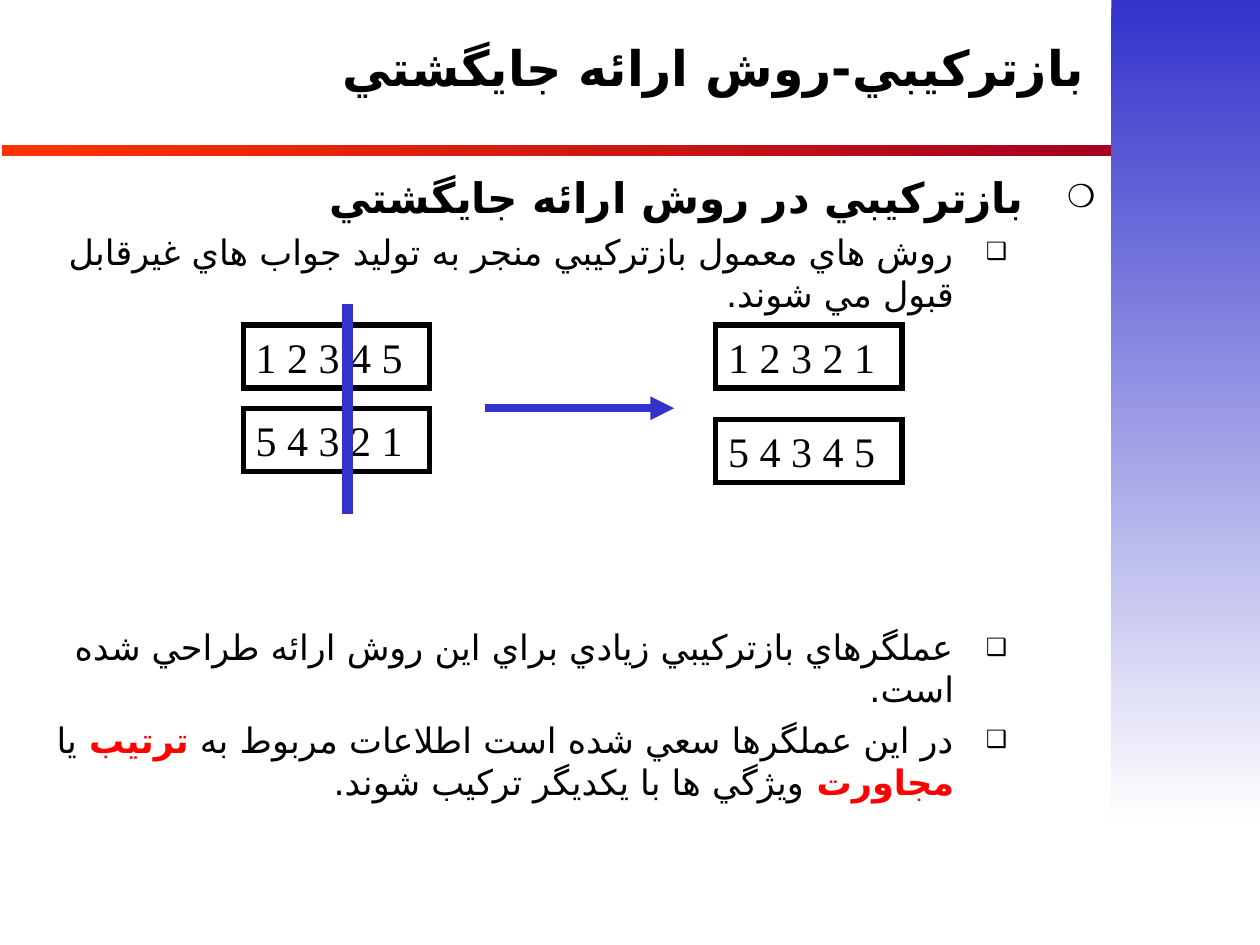
from lxml import etree
from pptx import Presentation, util as u
from pptx.dml.color import RGBColor
from pptx.enum import shapes, text
from pptx.oxml.ns import qn

# Content
TITLE = "بازتركيبي-روش ارائه جايگشتي"
# (level, space before in points, runs of (text, is_key_word))
BODY = [
    (0, 6, [("بازتركيبي در روش ارائه جايگشتي", False)]),
    (1, 5, [("روش هاي معمول بازتركيبي منجر به توليد جواب هاي غيرقابل قبول مي شوند.", False)]),
    (1, 178, [("عملگرهاي بازتركيبي زيادي براي اين روش ارائه طراحي شده است.", False)]),
    (1, 5, [("در اين عملگرها سعي شده است اطلاعات مربوط به ", False), ("ترتيب ", True),
            ("يا ", False), ("مجاورت ", True), ("ويژگي ها با يكديگر تركيب شوند.", False)]),
]
# (column left, row pitch, permutations)
PERMUTATIONS = [
    (1.93, 0.66, ["1 2 3 4 5", "5 4 3 2 1"]),
    (5.68, 0.75, ["1 2 3 2 1", "5 4 3 4 5"]),
]
COLORS = {"ink": "000000", "key": "FF0000", "blue": "3333CC",
          "white": "FEFEFE", "wine": "A50021", "orange": "FF3300"}
LEVELS = [
    {"size": 24, "bold": True, "margin": 0.57, "indent": -0.57, "bullet": "❍", "scale": 75},
    {"size": 20, "bold": False, "margin": 1.12, "indent": -0.42, "bullet": "❑", "scale": 68},
]
SERIF = "Times New Roman"
ARABIC = "DejaVu Sans"  # complex-script face, as the fonts above lack Arabic letters

# Layout, in inches
WIDTH, HEIGHT = 10, 7.5
SIDEBAR_LEFT = 8.82
BOX_TOP, BOX_W, BOX_H = 2.58, 1.48, 0.5

prs = Presentation()
prs.slide_width, prs.slide_height = u.Inches(WIDTH), u.Inches(HEIGHT)
s = prs.slides.add_slide(prs.slide_layouts[6])


def rgb(name):
    return RGBColor.from_string(COLORS[name])


def inches(*values):
    return [u.Inches(v) for v in values]


def add_run(p, words, size=24, font=SERIF, color="ink", bold=False):
    r = p.add_run()
    r.text = words
    r.font.size, r.font.name, r.font.bold = u.Pt(size), font, bold
    r.font.color.rgb = rgb(color)
    etree.SubElement(r._r.get_or_add_rPr(), qn("a:cs")).set("typeface", ARABIC)


def add_rect(*place):
    sp = s.shapes.add_shape(shapes.MSO_SHAPE.RECTANGLE, *inches(*place))
    sp.shadow.inherit = False
    return sp


def add_gradient(place, colors, angle):
    sp = add_rect(*place)
    sp.line.fill.background()
    sp.fill.gradient()
    sp.fill.gradient_angle = angle
    for stop, name in zip(sp.fill.gradient_stops, colors):
        stop.color.rgb = rgb(name)


def add_text_box(place, anchor):
    tf = s.shapes.add_textbox(*inches(*place)).text_frame
    tf.word_wrap, tf.vertical_anchor = True, anchor
    return tf


def set_rtl(p):
    p.alignment = text.PP_ALIGN.RIGHT
    p._p.get_or_add_pPr().set("rtl", "1")


def set_bullet(p, style):
    pPr = p._p.get_or_add_pPr()
    pPr.set("marL", str(u.Inches(style["margin"])))
    pPr.set("indent", str(u.Inches(style["indent"])))
    color = etree.SubElement(pPr, qn("a:buClr"))
    etree.SubElement(color, qn("a:srgbClr")).set("val", COLORS["ink"])
    etree.SubElement(pPr, qn("a:buSzPct")).set("val", str(style["scale"] * 1000))
    etree.SubElement(pPr, qn("a:buFont")).set("typeface", ARABIC)
    etree.SubElement(pPr, qn("a:buChar")).set("char", style["bullet"])


def add_line(x1, y1, x2, y2, width, arrow=False):
    c = s.shapes.add_connector(shapes.MSO_CONNECTOR.STRAIGHT, *inches(x1, y1, x2, y2))
    c.line.color.rgb, c.line.width = rgb("blue"), u.Pt(width)
    if arrow:
        etree.SubElement(c.line._get_or_add_ln(), qn("a:tailEnd")).set("type", "triangle")
    etree.SubElement(c._element.spPr, qn("a:effectLst"))


# Title rule and sidebar
add_gradient((0.02, 1.15, 8.8, 0.09), ("wine", "orange"), 180)
add_gradient((SIDEBAR_LEFT, 0, 1.22, 6.5), ("blue", "white"), 270)

# Title
p = add_text_box((0.12, 0, 8.58, 1.15), text.MSO_ANCHOR.MIDDLE).paragraphs[0]
set_rtl(p)
p.line_spacing = 0.8
add_run(p, TITLE, size=28, font="Karla", bold=True)

# Bulleted text
tf = add_text_box((0.2, 1.31, 8.59, 5.75), text.MSO_ANCHOR.TOP)
for i, (level, before, runs) in enumerate(BODY):
    p = tf.add_paragraph() if i else tf.paragraphs[0]
    style = LEVELS[level]
    p.level, p.space_before = level, u.Pt(before)
    set_rtl(p)
    set_bullet(p, style)
    for words, key in runs:
        add_run(p, words, size=style["size"], bold=key or style["bold"],
                color="key" if key else "ink")

# Parent and child permutations
for left, pitch, rows in PERMUTATIONS:
    for i, digits in enumerate(rows):
        sp = add_rect(left, BOX_TOP + i * pitch, BOX_W, BOX_H)
        sp.fill.background()
        sp.line.color.rgb, sp.line.width = rgb("ink"), u.Pt(3)
        etree.SubElement(sp.line._get_or_add_ln(), qn("a:miter")).set("lim", "800000")
        tf = sp.text_frame
        tf.word_wrap, tf.vertical_anchor = True, text.MSO_ANCHOR.TOP
        tf.paragraphs[0].alignment = text.PP_ALIGN.LEFT
        add_run(tf.paragraphs[0], digits)

# Crossover cut and result arrow
add_line(2.76, 2.41, 2.76, 4.08, 6)
add_line(3.85, 3.24, 5.35, 3.24, 4.5, arrow=True)

prs.save("out.pptx")
